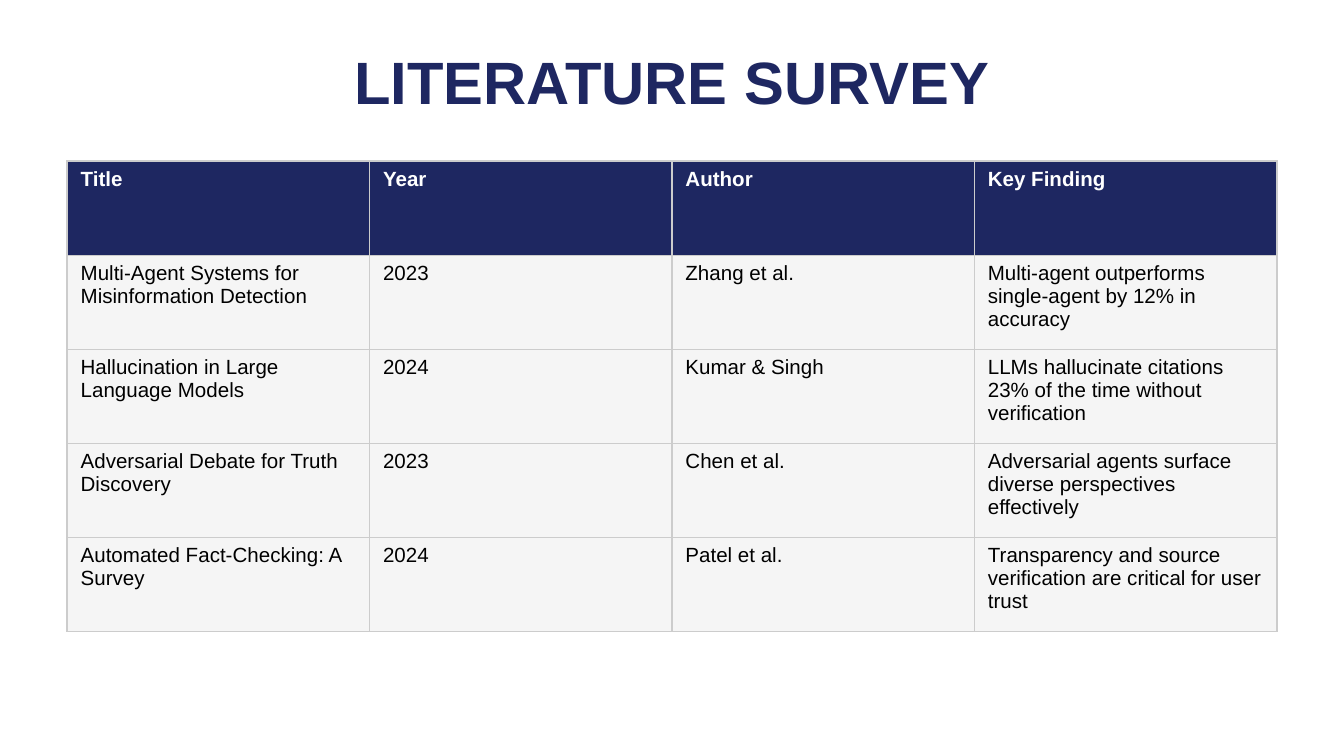
from lxml import etree
from pptx import Presentation
from pptx.dml.color import RGBColor
from pptx.enum.text import MSO_ANCHOR, PP_ALIGN
from pptx.oxml.ns import qn
from pptx.util import Pt

CENTER = PP_ALIGN.CENTER
MIDDLE = MSO_ANCHOR.MIDDLE

NAVY = RGBColor(0x1E, 0x27, 0x61)
WHITE = RGBColor(0xFF, 0xFF, 0xFF)
BLACK = RGBColor(0x00, 0x00, 0x00)
PALE_GRAY = RGBColor(0xF5, 0xF5, 0xF5)
BORDER_GRAY = RGBColor(0xCC, 0xCC, 0xCC)
FONT = "Arial"

# Content
HEADING = "LITERATURE SURVEY"
SURVEY = [
    ("Title", "Year", "Author", "Key Finding"),
    ("Multi-Agent Systems for Misinformation Detection", "2023", "Zhang et al.",
     "Multi-agent outperforms single-agent by 12% in accuracy"),
    ("Hallucination in Large Language Models", "2024", "Kumar & Singh",
     "LLMs hallucinate citations 23% of the time without verification"),
    ("Adversarial Debate for Truth Discovery", "2023", "Chen et al.",
     "Adversarial agents surface diverse perspectives effectively"),
    ("Automated Fact-Checking: A Survey", "2024", "Patel et al.",
     "Transparency and source verification are critical for user trust"),
]

# Layout in points
PAGE_WIDTH, PAGE_HEIGHT = 720, 405
MARGIN = 36
CONTENT_WIDTH = PAGE_WIDTH - 2 * MARGIN
HEADING_TOP, HEADING_HEIGHT = 21.6, 43.2
TABLE_TOP, ROW_HEIGHT = 86.4, 50.4


def add_span(para, text, size, color, bold):
    span = para.add_run()
    span.text = text
    span.font.name = FONT
    span.font.size = Pt(size)
    span.font.bold = bold
    span.font.color.rgb = color


def add_borders(cell):
    properties = cell._tc.get_or_add_tcPr()
    for side in ("lnL", "lnR", "lnT", "lnB"):
        line = etree.SubElement(properties, qn(f"a:{side}"), w=str(Pt(1)))
        fill = etree.SubElement(line, qn("a:solidFill"))
        etree.SubElement(fill, qn("a:srgbClr"), val=str(BORDER_GRAY))


deck = Presentation()
deck.slide_width, deck.slide_height = Pt(PAGE_WIDTH), Pt(PAGE_HEIGHT)
page = deck.slides.add_slide(deck.slide_layouts[6])
page.background.fill.solid()
page.background.fill.fore_color.rgb = WHITE

# Heading
box = page.shapes.add_textbox(
    Pt(MARGIN), Pt(HEADING_TOP), Pt(CONTENT_WIDTH), Pt(HEADING_HEIGHT))
box.text_frame.word_wrap = True
box.text_frame.vertical_anchor = MIDDLE
para = box.text_frame.paragraphs[0]
para.alignment = CENTER
add_span(para, HEADING, 32, NAVY, True)

# Survey table with equal columns and rows
table = page.shapes.add_table(
    len(SURVEY), len(SURVEY[0]), Pt(MARGIN), Pt(TABLE_TOP),
    Pt(CONTENT_WIDTH), Pt(ROW_HEIGHT * len(SURVEY))).table
for row, texts in enumerate(SURVEY):
    is_header = row == 0
    for column, text in enumerate(texts):
        cell = table.cell(row, column)
        add_borders(cell)
        cell.fill.solid()
        cell.fill.fore_color.rgb = NAVY if is_header else PALE_GRAY
        add_span(cell.text_frame.paragraphs[0], text, 11,
                 WHITE if is_header else BLACK, is_header)

deck.save("out.pptx")
